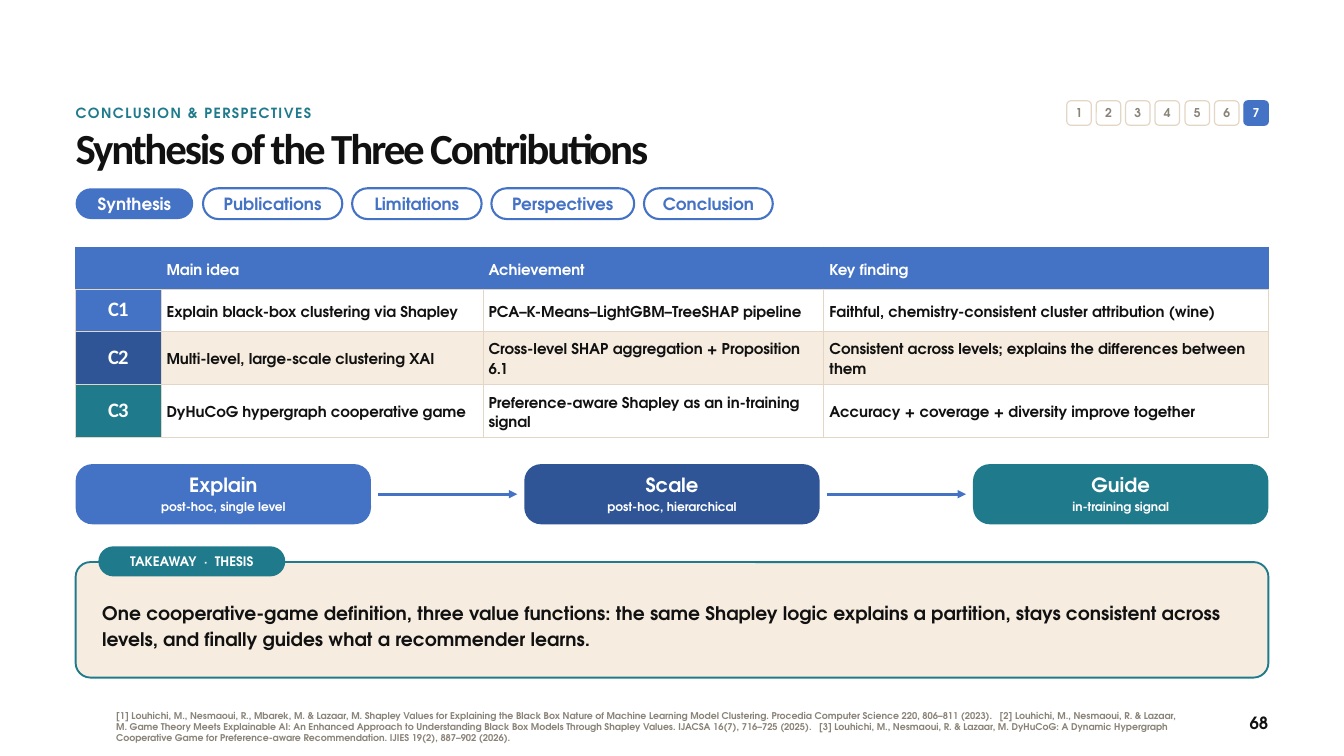
from lxml.etree import SubElement
from pptx import Presentation
from pptx.dml.color import RGBColor
from pptx.enum.shapes import MSO_CONNECTOR, MSO_SHAPE
from pptx.enum.text import MSO_ANCHOR, MSO_AUTO_SIZE, PP_ALIGN
from pptx.oxml.ns import qn
from pptx.util import Emu, Pt

COLORS = {
    "blue": "4472C4", "navy": "2F5597", "teal": "1F7A8C", "cream": "F6ECDF",
    "sand": "E3D6C4", "gray": "8A8378", "ink": "111111", "white": "FFFFFF",
}
SANS = "TeX Gyre Adventor"
LEFT, WIDTH = 108, 1704
RIGHT = LEFT + WIDTH

PILLS = [("Synthesis", 168), ("Publications", 199), ("Limitations", 185),
         ("Perspectives", 204), ("Conclusion", 184)]
HEADER = ["", "Main idea", "Achievement", "Key finding"]
ROWS = [
    ["C1", "Explain black-box clustering via Shapley",
     "PCA–K-Means–LightGBM–TreeSHAP pipeline",
     "Faithful, chemistry-consistent cluster attribution (wine)"],
    ["C2", "Multi-level, large-scale clustering XAI",
     "Cross-level SHAP aggregation + Proposition 6.1",
     "Consistent across levels; explains the differences between them"],
    ["C3", "DyHuCoG hypergraph cooperative game",
     "Preference-aware Shapley as an in-training signal",
     "Accuracy + coverage + diversity improve together"],
]
ROW_COLORS = ["blue", "navy", "teal"]
STEPS = [("Explain", "post-hoc, single level"),
         ("Scale", "post-hoc, hierarchical"),
         ("Guide", "in-training signal")]
TAKEAWAY = ("One cooperative-game definition, three value functions: the same Shapley logic "
            "explains a partition, stays consistent across levels, and finally guides what "
            "a recommender learns.")
REFERENCES = [
    "[1] Louhichi, M., Nesmaoui, R., Mbarek, M. & Lazaar, M. Shapley Values for Explaining "
    "the Black Box Nature of Machine Learning Model Clustering. Procedia Computer Science "
    "220, 806–811 (2023).",
    "[2] Louhichi, M., Nesmaoui, R. & Lazaar, M. Game Theory Meets Explainable AI: An "
    "Enhanced Approach to Understanding Black Box Models Through Shapley Values. "
    "IJACSA 16(7), 716–725 (2025).",
    "[3] Louhichi, M., Nesmaoui, R. & Lazaar, M. DyHuCoG: A Dynamic Hypergraph Cooperative "
    "Game for Preference-aware Recommendation. IJIES 19(2), 887–902 (2026).",
]


def px(n):
    """Turn px into EMU."""
    return Emu(n * 9525)


def rgb(name):
    """Look up a colour by name."""
    return RGBColor.from_string(COLORS[name])


def add_run(p, text, size, color, font=SANS, spacing=0):
    """Add one bold run to a paragraph."""
    r = p.add_run()
    r.text = text
    r.font.name, r.font.size, r.font.bold = font, Pt(size), True
    r.font.color.rgb = rgb(color)
    if spacing:
        r.font._element.set("spc", str(round(spacing * 100)))


def write(p, text, size, color, leading, align=PP_ALIGN.LEFT, **style):
    """Fill a paragraph with one run."""
    p.alignment, p.line_spacing = align, Pt(leading)
    add_run(p, text, size, color, **style)


def write_spaced(p, pieces, gap, size, color, leading, align=PP_ALIGN.LEFT):
    """Fill a paragraph with pieces set apart by widened spaces."""
    p.alignment, p.line_spacing = align, Pt(leading)
    for i, piece in enumerate(pieces):
        if i:
            add_run(p, " ", size, color, spacing=gap)
        add_run(p, piece, size, color)


def set_frame(tf, anchor=MSO_ANCHOR.MIDDLE, side=0):
    """Set wrapping, anchor and margins, and return the first paragraph."""
    tf.word_wrap, tf.auto_size = True, MSO_AUTO_SIZE.NONE
    tf.vertical_anchor = anchor
    tf.margin_left = tf.margin_right = px(side)
    tf.margin_top = tf.margin_bottom = 0
    return tf.paragraphs[0]


def add_text(s, x, y, w, h, anchor=MSO_ANCHOR.TOP):
    """Add a text box and return its first paragraph."""
    return set_frame(s.shapes.add_textbox(px(x), px(y), px(w), px(h)).text_frame, anchor)


def add_box(s, x, y, w, h, radius, fill=None, line=None, weight=2.25):
    """Add a rounded rectangle and return its text frame."""
    sp = s.shapes.add_shape(MSO_SHAPE.ROUNDED_RECTANGLE, px(x), px(y), px(w), px(h))
    sp.adjustments[0] = radius
    sp.shadow.inherit = False
    if fill:
        sp.fill.solid()
        sp.fill.fore_color.rgb = rgb(fill)
    else:
        sp.fill.background()
    if line:
        sp.line.color.rgb = rgb(line)
        sp.line.width = Pt(weight)
    else:
        sp.line.fill.background()
    set_frame(sp.text_frame, side=5)
    return sp.text_frame


def add_arrow(s, x1, x2, y):
    """Add a horizontal arrow."""
    cx = s.shapes.add_connector(MSO_CONNECTOR.STRAIGHT, px(x1), px(y), px(x2), px(y))
    cx.line.color.rgb = rgb("blue")
    cx.line.width = Pt(3)
    SubElement(cx.line._get_or_add_ln(), qn("a:tailEnd"), type="triangle")
    SubElement(cx._element.spPr, qn("a:effectLst"))


def style_cell(cell, fill, border):
    """Set borders, fill, anchor and margins of a cell."""
    tcPr = cell._tc.get_or_add_tcPr()
    for side in ("lnL", "lnR", "lnT", "lnB"):
        ln = SubElement(tcPr, qn(f"a:{side}"), w=str(Pt(1)))
        SubElement(SubElement(ln, qn("a:solidFill")), qn("a:srgbClr"), val=COLORS[border])
    cell.fill.solid()
    cell.fill.fore_color.rgb = rgb(fill)
    cell.vertical_anchor = MSO_ANCHOR.MIDDLE
    cell.margin_left = cell.margin_right = px(8)
    cell.margin_top = cell.margin_bottom = px(5)


def add_contributions(s):
    """Add the table of contributions."""
    table = s.shapes.add_table(4, 4, px(LEFT), px(353), px(WIDTH), px(272)).table
    for col, w in zip(table.columns, (122, 460, 487, 635)):
        col.width = px(w)
    for row, h in zip(table.rows, (60, 60, 76, 76)):
        row.height = px(h)
    for j, text in enumerate(HEADER):
        style_cell(table.cell(0, j), "blue", "blue")
        if text:
            write(table.cell(0, j).text_frame.paragraphs[0], text, 16, "white", 20.8)
    for i, row in enumerate(ROWS, 1):
        for j, text in enumerate(row):
            cell = table.cell(i, j)
            p = cell.text_frame.paragraphs[0]
            if j:
                style_cell(cell, "white" if i % 2 else "cream", "sand")
                write(p, text, 16, "ink", 20.8)
            else:
                style_cell(cell, ROW_COLORS[i - 1], "sand")
                write(p, text, 22, "white", 26, PP_ALIGN.CENTER, font="Calibri", spacing=-1.1)


def add_header(s):
    """Add the section label, chapter badges, title and tabs."""
    write(add_text(s, LEFT, 146, 1358, 35), "CONCLUSION & PERSPECTIVES", 15, "teal", 20,
          spacing=1.6)
    for i in range(7):
        fill, line, ink = ("blue", "blue", "white") if i == 6 else ("white", "sand", "gray")
        tf = add_box(s, 1524 + i * 169 // 4, 144, 35, 35, 0.167, fill, line, 1.25)
        write(tf.paragraphs[0], str(i + 1), 13, ink, 15, PP_ALIGN.CENTER)
    title = s.shapes.title
    title.left, title.top, title.width, title.height = px(LEFT), px(180), px(WIDTH), px(77)
    write(set_frame(title.text_frame, MSO_ANCHOR.TOP), "Synthesis of the Three Contributions",
          46, "ink", 50.6, font="Calibri", spacing=-2.3)
    x = LEFT
    for i, (text, w) in enumerate(PILLS):
        fill, line, ink = (None, "blue", "blue") if i else ("blue", None, "white")
        tf = add_box(s, x, 269, w, 44, 0.5, fill, line)
        write(tf.paragraphs[0], text, 18, ink, 21.6, PP_ALIGN.CENTER)
        x += w + 14


def add_steps(s):
    """Add the three steps and the arrows between them."""
    w, pitch = 422, 641
    for i, (name, detail) in enumerate(STEPS):
        x = LEFT + i * pitch
        tf = add_box(s, x, 663, w, 86, 0.278, ROW_COLORS[i])
        write(tf.paragraphs[0], name, 21, "white", 24.1, PP_ALIGN.CENTER)
        p = tf.add_paragraph()
        p.space_before = Pt(3)
        write(p, detail, 13, "white", 15.6, PP_ALIGN.CENTER)
        if i < len(STEPS) - 1:
            add_arrow(s, x + w + 10, x + pitch - 10, 706)


def add_takeaway(s):
    """Add the takeaway panel with its tag."""
    add_box(s, LEFT, 803, WIDTH, 165, 0.128, "cream", "teal", 2)
    tag = add_box(s, 142, 782, 264, 40, 0.5, "teal", "teal")
    write_spaced(tag.paragraphs[0], ["TAKEAWAY", "·", "THESIS"], 3.9, 14, "white", 16.8,
                 PP_ALIGN.CENTER)
    write(add_text(s, 146, 831, 1627, 122, MSO_ANCHOR.MIDDLE), TAKEAWAY, 20, "ink", 28)


def add_footer(s):
    """Add the references and the page number."""
    write_spaced(add_text(s, 166, 1008, 1522, 60, MSO_ANCHOR.MIDDLE), REFERENCES, 5.6, 10,
                 "gray", 12)
    write(add_text(s, RIGHT - 115, 1018, 115, 35), "68", 18, "ink", 22, PP_ALIGN.RIGHT)


def main():
    """Build the slide."""
    prs = Presentation()
    prs.slide_width, prs.slide_height = px(1920), px(1080)
    s = prs.slides.add_slide(prs.slide_layouts[5])
    add_header(s)
    add_contributions(s)
    add_steps(s)
    add_takeaway(s)
    add_footer(s)
    prs.save("out.pptx")


if __name__ == "__main__":
    main()
